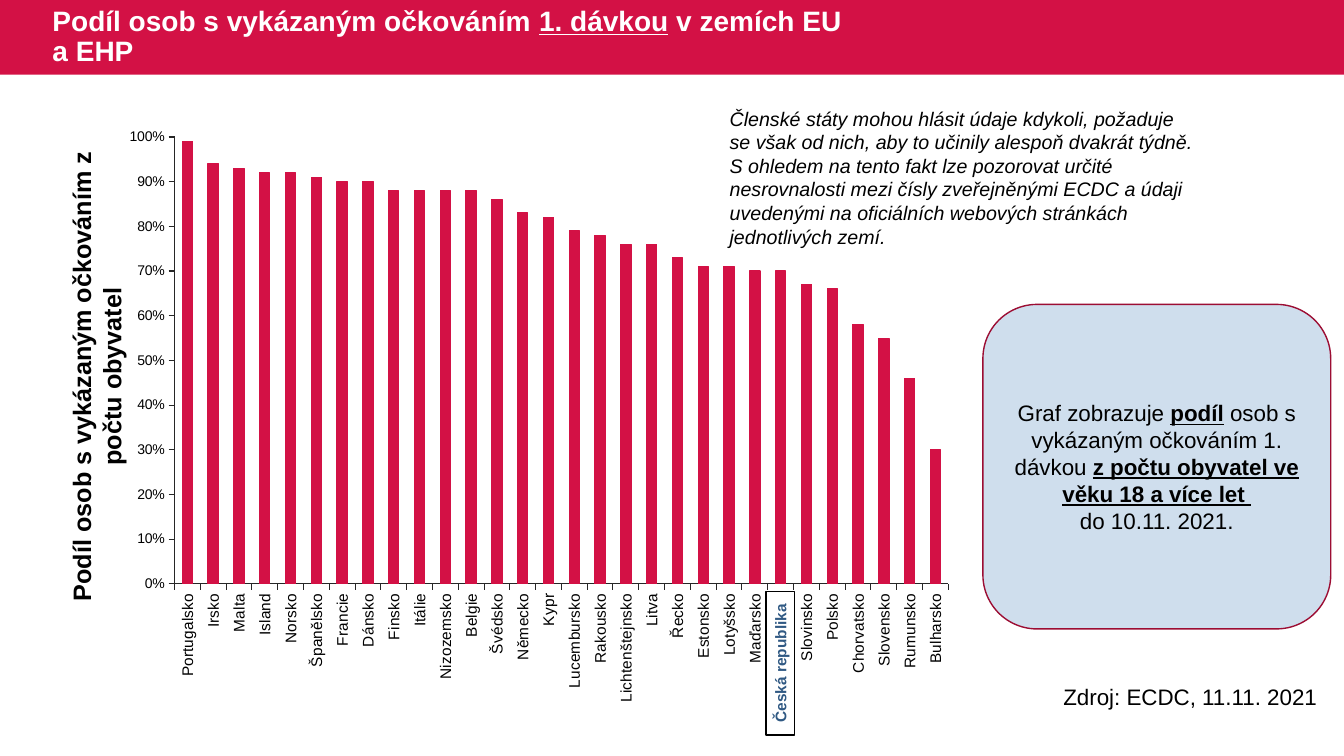
from pptx import Presentation
from pptx.chart.data import CategoryChartData
from pptx.dml.color import RGBColor
from pptx.enum.chart import XL_CHART_TYPE, XL_TICK_MARK
from pptx.enum.shapes import MSO_SHAPE
from pptx.enum.text import MSO_ANCHOR, MSO_AUTO_SIZE, PP_ALIGN
from pptx.oxml import parse_xml
from pptx.oxml.ns import nsdecls
from pptx.util import Inches, Pt

RED = RGBColor(0xD3, 0x11, 0x45)
WINE = RGBColor(0x9C, 0x0D, 0x33)
PALE = RGBColor(0xCF, 0xDE, 0xED)
BLUE = RGBColor(0x30, 0x59, 0x83)
BLACK = RGBColor(0, 0, 0)
GREY = RGBColor(0x26, 0x26, 0x26)
WHITE = RGBColor(0xFF, 0xFF, 0xFF)

WIDE, HIGH = Inches(13.33), Inches(7.5)
BOLD = {"bold": True}
MARK = {"bold": True, "underline": True}

SHARES = {
    "Portugalsko": 0.99, "Irsko": 0.94, "Malta": 0.93, "Island": 0.92,
    "Norsko": 0.92, "Španělsko": 0.91, "Francie": 0.9, "Dánsko": 0.9,
    "Finsko": 0.88, "Itálie": 0.88, "Nizozemsko": 0.88, "Belgie": 0.88,
    "Švédsko": 0.86, "Německo": 0.83, "Kypr": 0.82, "Lucembursko": 0.79,
    "Rakousko": 0.78, "Lichtenštejnsko": 0.76, "Litva": 0.76, "Řecko": 0.73,
    "Estonsko": 0.71, "Lotyšsko": 0.71, "Maďarsko": 0.7,
    "Česká republika": 0.7, "Slovinsko": 0.67, "Polsko": 0.66,
    "Chorvatsko": 0.58, "Slovensko": 0.55, "Rumunsko": 0.46,
    "Bulharsko": 0.3,
}
NOTE = (
    "Členské státy mohou hlásit údaje kdykoli, požaduje se však od nich, "
    "aby to učinily alespoň dvakrát týdně. S ohledem na tento fakt lze "
    "pozorovat určité nesrovnalosti mezi čísly zveřejněnými ECDC a údaji "
    "uvedenými na oficiálních webových stránkách jednotlivých zemí."
)


def apply(item, **look):
    for name, value in look.items():
        setattr(item, name, value)


def area(left, top, width, height):
    return (round(WIDE * left / 100), round(HIGH * top / 100),
            round(WIDE * width / 100), round(HIGH * height / 100))


def style(font, size, color, **look):
    apply(font, name="Arial", size=Pt(size), **look)
    font.color.rgb = color


def write(shape, paras, size, color=BLACK, align=PP_ALIGN.LEFT,
          anchor=MSO_ANCHOR.TOP, space=None):
    frame = shape.text_frame
    apply(frame, word_wrap=True, auto_size=MSO_AUTO_SIZE.NONE,
          vertical_anchor=anchor)
    for index, runs in enumerate(paras):
        para = frame.add_paragraph() if index else frame.paragraphs[0]
        apply(para, alignment=align, line_spacing=space)
        for text, look in runs:
            run = para.add_run()
            run.text = text
            style(run.font, size, color, **look)


def label(slide, place, text, size, look, align=PP_ALIGN.LEFT, turn=0):
    box = slide.shapes.add_textbox(*area(*place))
    box.rotation = turn
    write(box, [[(text, look)]], size, align=align)


def panel(slide, kind, place, fill, edge=None):
    shape = slide.shapes.add_shape(kind, *area(*place))
    shape.shadow.inherit = False
    shape.fill.solid()
    shape.fill.fore_color.rgb = fill
    if edge is None:
        shape.line.fill.background()
    else:
        shape.line.color.rgb = edge
        shape.line.width = Pt(1)
    return shape


def header(slide):
    band = panel(slide, MSO_SHAPE.RECTANGLE, (0, 0, 100, 9.87), RED)
    slide.shapes._spTree.insert(2, band._element)
    title = slide.shapes.title
    left, top, width, height = area(3.15, 0, 61.2, 9.87)
    apply(title, left=left, top=top, width=width, height=height)
    write(title, [[("Podíl osob s vykázaným očkováním ", BOLD),
                   ("1. dávkou", MARK), (" v zemích EU a EHP", BOLD)]],
          20, WHITE, anchor=MSO_ANCHOR.MIDDLE, space=0.9)


def axis(item, size):
    apply(item, has_major_gridlines=False, has_title=False,
          major_tick_mark=XL_TICK_MARK.OUTSIDE,
          minor_tick_mark=XL_TICK_MARK.NONE)
    style(item.tick_labels.font, size, BLACK)
    item.format.line.color.rgb = GREY
    item.format.line.width = Pt(0.75)


def layout(chart, **part):
    spots = "".join(f'<c:{key} val="{val}"/>' for key, val in part.items())
    old = chart._chartSpace.chart.plotArea.find(
        "{http://schemas.openxmlformats.org/drawingml/2006/chart}layout")
    if old is not None:
        old.getparent().remove(old)
    chart._chartSpace.chart.plotArea.insert(0, parse_xml(
        f'<c:layout {nsdecls("c")}><c:manualLayout>'
        '<c:layoutTarget val="inner"/><c:xMode val="edge"/>'
        f'<c:yMode val="edge"/>{spots}</c:manualLayout></c:layout>'))


def graph(slide):
    data = CategoryChartData(number_format="0%")
    data.categories = list(SHARES)
    data.add_series("Series 1", list(SHARES.values()))
    chart = slide.shapes.add_chart(
        XL_CHART_TYPE.COLUMN_CLUSTERED, *area(8.7, 14.4, 63, 79.33), data).chart
    apply(chart, has_legend=False, has_title=False)
    style(chart.font, 10, BLACK)
    axis(chart.category_axis, 11)
    axis(chart.value_axis, 10)
    chart.category_axis._element.txPr.bodyPr.set("rot", "-5400000")
    apply(chart.value_axis, minimum_scale=0, maximum_scale=1, major_unit=0.1)
    apply(chart.value_axis.tick_labels, number_format="0%",
          number_format_is_linked=False)
    plot = chart.plots[0]
    apply(plot, gap_width=150, vary_by_categories=False)
    bars = plot.series[0].format
    bars.fill.solid()
    bars.fill.fore_color.rgb = RED
    bars.line.color.rgb = RED
    bars.line.width = Pt(0.75)
    layout(chart, x=0.07, y=0.05, w=0.91, h=0.75)
    layout(chart, x=0.068, y=0.047, w=0.914, h=0.745)


def card(slide):
    shape = panel(slide, MSO_SHAPE.ROUNDED_RECTANGLE,
                  (73.13, 40.27, 25.88, 42.93), PALE, WINE)
    write(shape, [
        [("Graf zobrazuje ", {}), ("podíl", MARK), (" ", BOLD),
         ("osob s vykázaným očkováním 1. dávkou ", {}),
         ("z počtu obyvatel ve věku 18 a více let ", MARK)],
        [("do 10.11. 2021.", {})],
    ], 16, align=PP_ALIGN.CENTER, anchor=MSO_ANCHOR.MIDDLE)


def czech(slide):
    shape = panel(slide, MSO_SHAPE.RECTANGLE,
                  (52.73, 85.87, 10.65, 3.73), WHITE, BLACK)
    shape.rotation = 270
    write(shape, [[("Česká republika", BOLD)]], 11, BLUE,
          PP_ALIGN.CENTER, MSO_ANCHOR.MIDDLE)


def main():
    deck = Presentation()
    apply(deck, slide_width=WIDE, slide_height=HIGH)
    slide = deck.slides.add_slide(deck.slide_layouts[5])
    header(slide)
    label(slide, (-11.63, 45.07, 37.65, 9.47),
          "Podíl osob s vykázaným očkováním z počtu obyvatel",
          18, BOLD, PP_ALIGN.CENTER, 270)
    graph(slide)
    card(slide)
    czech(slide)
    label(slide, (78.38, 89.73, 23.48, 4.93),
          "Zdroj: ECDC, 11.11. 2021", 16, {})
    label(slide, (53.55, 13.47, 36.45, 20.13), NOTE, 14, {"italic": True})
    deck.save("out.pptx")


if __name__ == "__main__":
    main()
